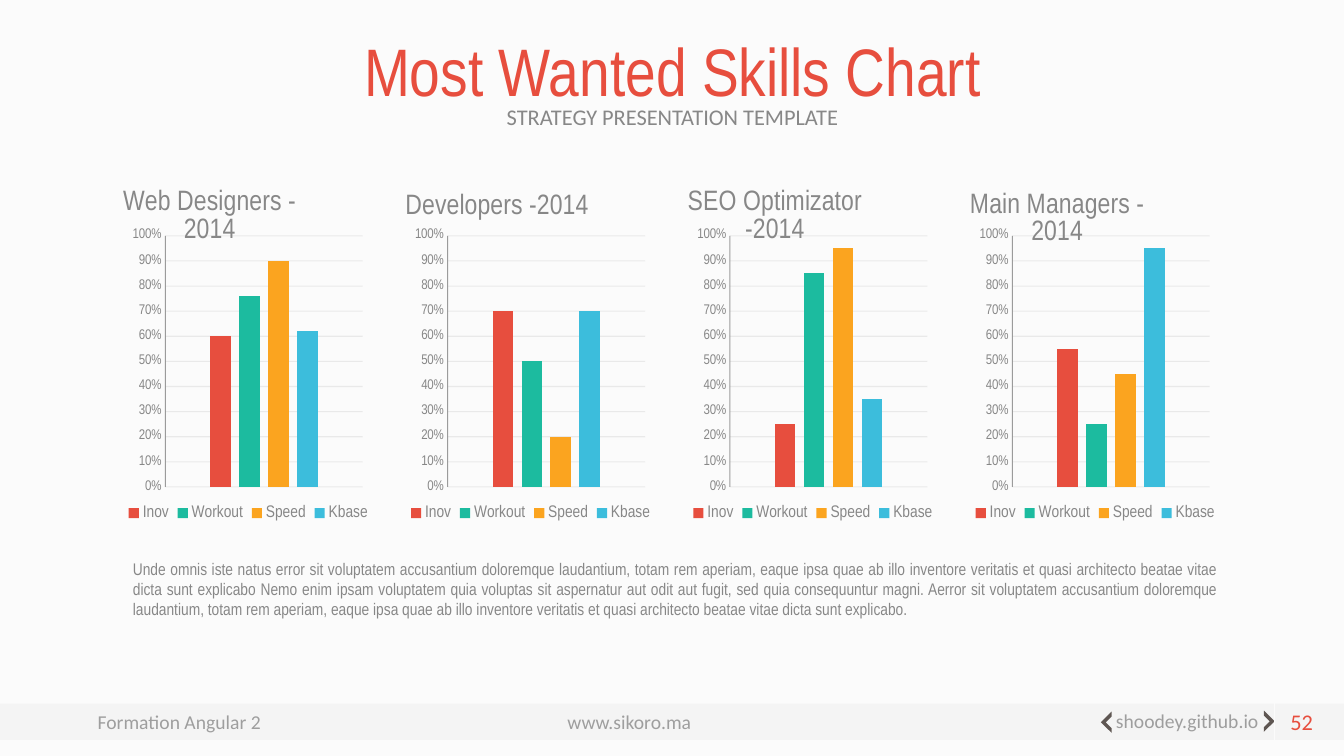
from lxml.etree import SubElement
from pptx import Presentation
from pptx.chart.data import CategoryChartData
from pptx.dml.color import RGBColor
from pptx.enum.chart import XL_CHART_TYPE, XL_LEGEND_POSITION, XL_TICK_MARK
from pptx.enum.shapes import MSO_CONNECTOR, MSO_SHAPE
from pptx.enum.text import MSO_ANCHOR, PP_ALIGN
from pptx.oxml import parse_xml
from pptx.oxml.ns import nsdecls, qn
from pptx.util import Inches, Pt

RED = RGBColor(0xE7, 0x4E, 0x3E)
GREEN = RGBColor(0x1C, 0xBB, 0x9F)
ORANGE = RGBColor(0xFB, 0xA4, 0x1F)
BLUE = RGBColor(0x3C, 0xBD, 0xDC)
GRAY = RGBColor(0x87, 0x87, 0x87)
BROWN = RGBColor(0x5E, 0x56, 0x52)
PAPER = RGBColor(0xFB, 0xFB, 0xFB)

SKILLS = [("Inov", RED), ("Workout", GREEN), ("Speed", ORANGE), ("Kbase", BLUE)]
CHARTS = [
    ("Web Designers - 2014", 0.007, (0.6, 0.76, 0.9, 0.62)),
    ("Developers -2014", 0.017, (0.7, 0.5, 0.2, 0.7)),
    ("SEO Optimizator -2014", 0.007, (0.25, 0.85, 0.95, 0.35)),
    ("Main Managers - 2014", 0.014, (0.55, 0.25, 0.45, 0.95)),
]
BODY = (
    "Unde omnis iste natus error sit voluptatem accusantium doloremque laudantium, "
    "totam rem aperiam, eaque ipsa quae ab illo inventore veritatis et quasi architecto "
    "beatae vitae dicta sunt explicabo Nemo enim ipsam voluptatem quia voluptas sit "
    "aspernatur aut odit aut fugit, sed quia consequuntur magni. Aerror sit voluptatem "
    "accusantium doloremque laudantium, totam rem aperiam, eaque ipsa quae ab illo "
    "inventore veritatis et quasi architecto beatae vitae dicta sunt explicabo."
)


def fade(colors, opacity):
    for color in colors:
        SubElement(color, qn("a:alpha")).set("val", str(opacity * 1000))


def set_font(font, size, color=GRAY, name="Arial Narrow"):
    font.size, font.name, font.bold = Pt(size), name, False
    font.color.rgb = color


def place(parent, index, x, y, w=None, h=None, inner=False):
    for old in parent.findall(qn("c:layout")):
        parent.remove(old)
    target = '<c:layoutTarget val="inner"/>' if inner else ""
    modes = '<c:xMode val="edge"/><c:yMode val="edge"/>'
    sizes = "".join(f'<c:{key} val="{val}"/>' for key, val in zip("xywh", (x, y, w, h))
                    if val is not None)
    parent.insert(index, parse_xml(
        f'<c:layout {nsdecls("c")}><c:manualLayout>{target}{modes}{sizes}'
        '</c:manualLayout></c:layout>'))


class SlideBuilder:
    """Draws styled elements on one slide."""

    def __init__(self, prs):
        self.slide = prs.slides.add_slide(prs.slide_layouts[6])
        self.shapes = self.slide.shapes
        fill = self.slide.background.fill
        fill.solid()
        fill.fore_color.rgb = PAPER

    def text(self, text, x, y, w, h, size, color=GRAY, name="Calibri",
             align=PP_ALIGN.LEFT, wrap=True, anchor=MSO_ANCHOR.TOP, spacing=None, opacity=None):
        tf = self.shapes.add_textbox(Inches(x), Inches(y), Inches(w), Inches(h)).text_frame
        tf.word_wrap, tf.vertical_anchor = wrap, anchor
        p = tf.paragraphs[0]
        p.text, p.alignment, p.line_spacing = text, align, spacing
        set_font(p.font, size, color, name)
        if opacity:
            fade(tf._txBody.xpath(".//a:srgbClr"), opacity)

    def shape(self, kind, x, y, w, h, opacity=None):
        sp = self.shapes.add_shape(kind, Inches(x), Inches(y), Inches(w), Inches(h))
        sp.shadow.inherit = False
        sp.fill.solid()
        sp.fill.fore_color.rgb = BROWN
        sp.line.fill.background()
        if opacity:
            fade(sp.element.xpath("./p:spPr//a:srgbClr"), opacity)
        return sp

    def chevron(self, x, y, rotation, flip=False):
        sp = self.shape(MSO_SHAPE.HALF_FRAME, x, y, 0.15, 0.15)
        sp.adjustments[0], sp.adjustments[1] = 0.213, 0.233
        sp.rotation = rotation
        if flip:
            sp.element.xpath(".//a:xfrm")[0].set("flipH", "1")

    def line(self, x1, y1, x2, y2):
        cx = self.shapes.add_connector(
            MSO_CONNECTOR.STRAIGHT, Inches(x1), Inches(y1), Inches(x2), Inches(y2))
        cx.line.color.rgb, cx.line.width = PAPER, Pt(1)
        SubElement(cx.element.spPr, qn("a:effectLst"))

    def chart(self, title, title_y, values, x, y, w, h):
        data = CategoryChartData(number_format="0%")
        data.categories = ["1"]
        for (skill, _), value in zip(SKILLS, values):
            data.add_series(skill, [value])
        chart = self.shapes.add_chart(
            XL_CHART_TYPE.COLUMN_CLUSTERED, Inches(x), Inches(y), Inches(w), Inches(h), data).chart
        set_font(chart.font, 10, RED, "Calibri")

        chart.has_title = True
        p = chart.chart_title.text_frame.paragraphs[0]
        p.text = title
        set_font(p.font, 20)
        chart.has_legend = True
        chart.legend.position = XL_LEGEND_POSITION.BOTTOM
        chart.legend.include_in_layout = False
        set_font(chart.legend.font, 12)

        plot = chart.plots[0]
        plot.gap_width, plot.overlap, plot.vary_by_categories = 439, -41, False
        for series, (_, color) in zip(plot.series, SKILLS):
            series.format.fill.solid()
            series.format.fill.fore_color.rgb = color

        chart.category_axis.visible = False
        axis = chart.value_axis
        axis.minimum_scale, axis.maximum_scale, axis.major_unit = 0, 1, 0.1
        axis.major_tick_mark = axis.minor_tick_mark = XL_TICK_MARK.NONE
        axis.tick_labels.number_format = "0%"
        axis.tick_labels.number_format_is_linked = False
        set_font(axis.tick_labels.font, 10)
        for line in (axis.format.line, axis.major_gridlines.format.line):
            line.color.rgb, line.width = GRAY, Pt(0.75)

        root = chart.element
        fade(root.xpath(".//c:valAx/c:spPr//a:srgbClr"), 82)
        fade(root.xpath(".//c:majorGridlines//a:srgbClr"), 14)
        place(root.xpath(".//c:title")[0], 1, 0.053, title_y)
        place(root.xpath(".//c:legend")[0], 1, 0.06, 0.775, 0.9, 0.07)
        place(root.xpath(".//c:plotArea")[0], 0, 0.219, 0.139, 0.692, 0.608, True)


def main():
    prs = Presentation()
    prs.slide_width, prs.slide_height = Inches(13.33), Inches(7.5)
    s = SlideBuilder(prs)

    s.shape(MSO_SHAPE.RECTANGLE, 0, 6.98, 13.33, 0.36, opacity=4)
    for text, x, y, w in [("Formation Angular 2", 0.87, 6.99, 1.83),
                          ("www.sikoro.ma", 5.53, 6.99, 1.44),
                          ("shoodey.github.io", 10.97, 6.98, 1.64)]:
        s.text(text, x, y, w, 0.34, 14, wrap=False, opacity=79)
    s.chevron(10.95, 7.09, 225, flip=True)
    s.chevron(12.46, 7.08, 135)
    s.line(12.64, 6.95, 12.64, 7.34)

    s.text("Most Wanted Skills Chart", 1.67, 0.16, 10, 0.99, 48, RED, "Arial Narrow",
           PP_ALIGN.CENTER, anchor=MSO_ANCHOR.BOTTOM, spacing=0.9)
    s.text("STRATEGY PRESENTATION TEMPLATE", 1.67, 1, 10, 0.49, 16,
           align=PP_ALIGN.CENTER, spacing=0.9)
    s.text("52", 12.58, 6.98, 0.54, 0.36, 16, RED, align=PP_ALIGN.RIGHT)

    for i, (title, title_y, values) in enumerate(CHARTS):
        s.chart(title, title_y, values, 1.02 + 2.8 * i, 1.77, 2.83, 4.1)
    s.text(BODY, 1.22, 5.49, 10.96, 0.71, 12, name="Arial Narrow", align=PP_ALIGN.JUSTIFY)

    prs.save("out.pptx")


if __name__ == "__main__":
    main()
